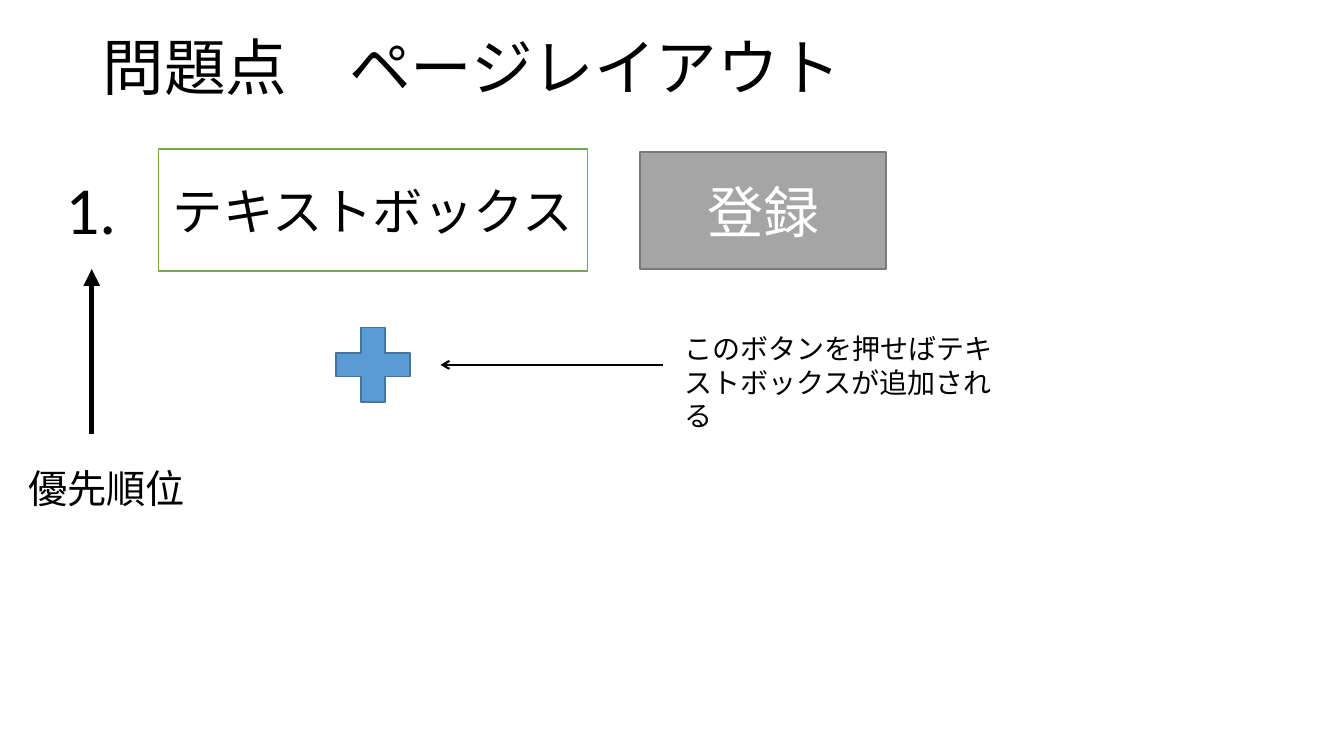
from dataclasses import dataclass

from lxml.etree import SubElement
from pptx import Presentation
from pptx.dml.color import RGBColor
from pptx.enum.shapes import MSO_CONNECTOR, MSO_SHAPE
from pptx.enum.text import MSO_ANCHOR, PP_ALIGN
from pptx.oxml.ns import qn
from pptx.util import Inches, Pt

COLUMNS, ROWS = 40, 30


@dataclass(frozen=True)
class Theme:
    """Colours, type sizes and line widths of the slide."""
    font: str = "Calibri"
    ink: str = "000000"
    paper: str = "FFFFFF"
    field_edge: str = "70AD47"
    button: str = "A5A5A5"
    button_edge: str = "7A7A7A"
    plus: str = "5B9BD5"
    plus_edge: str = "43739E"
    title: int = 44
    number: int = 48
    button_size: int = 40
    field_size: int = 36
    label: int = 28
    note: int = 20
    outline: float = 1
    thin: float = 1.5
    thick: float = 4


def apply_format(target, values):
    """Set each attribute named in values on target."""
    for name, value in values.items():
        setattr(target, name, value)


class SlideBuilder:
    """Draws themed elements on one slide, placed by grid cells."""

    def __init__(self, deck, theme):
        """Add a blank slide and work out the grid cell."""
        self.theme = theme
        self.slide = deck.slides.add_slide(deck.slide_layouts[6])
        self.column = deck.slide_width / COLUMNS
        self.row = deck.slide_height / ROWS

    def place(self, cells):
        """Turn column and row pairs into slide lengths."""
        return [round(cell * (self.row if i % 2 else self.column))
                for i, cell in enumerate(cells)]

    def fill_text(self, frame, wording, size, color, anchor, **paragraph_format):
        """Put one styled paragraph in a text frame."""
        apply_format(frame, {"word_wrap": True, "vertical_anchor": anchor})
        paragraph = frame.paragraphs[0]
        apply_format(paragraph, paragraph_format)
        run = paragraph.add_run()
        run.text = wording
        apply_format(run.font, {"name": self.theme.font, "size": Pt(size)})
        run.font.color.rgb = RGBColor.from_string(color)

    def text(self, cells, wording, size, anchor=MSO_ANCHOR.TOP, **paragraph_format):
        """Add a plain text box."""
        box = self.slide.shapes.add_textbox(*self.place(cells))
        self.fill_text(box.text_frame, wording, size, self.theme.ink, anchor,
                       **paragraph_format)

    def shape(self, kind, cells, fill, edge):
        """Add a filled and outlined preset shape."""
        shape = self.slide.shapes.add_shape(kind, *self.place(cells))
        shape.shadow.inherit = False
        shape.fill.solid()
        shape.fill.fore_color.rgb = RGBColor.from_string(fill)
        shape.line.color.rgb = RGBColor.from_string(edge)
        shape.line.width = Pt(self.theme.outline)
        return shape

    def box(self, cells, wording, size, color, fill, edge):
        """Add a rectangle with centred text."""
        shape = self.shape(MSO_SHAPE.RECTANGLE, cells, fill, edge)
        self.fill_text(shape.text_frame, wording, size, color, MSO_ANCHOR.MIDDLE,
                       alignment=PP_ALIGN.CENTER)

    def arrow(self, cells, width, head):
        """Add a line whose arrowhead is at its end point."""
        arrow = self.slide.shapes.add_connector(
            MSO_CONNECTOR.STRAIGHT, *self.place(cells))
        arrow.line.color.rgb = RGBColor.from_string(self.theme.ink)
        arrow.line.width = Pt(width)
        properties = arrow._element.spPr
        SubElement(properties.find(qn("a:ln")), qn("a:tailEnd"), type=head)
        SubElement(properties, qn("a:effectLst"))


def main():
    """Build the page layout slide and save it."""
    deck = Presentation()
    apply_format(deck, {"slide_width": Inches(13.33), "slide_height": Inches(7.5)})
    theme = Theme()
    page = SlideBuilder(deck, theme)

    page.text((2.76, 0.68, 34.5, 4.2), "問題点\u3000ページレイアウト", theme.title,
              MSO_ANCHOR.MIDDLE, line_spacing=0.9)
    page.text((1.65, 6.8, 2.13, 4.64), "1.", theme.number,
              line_spacing=0.9, space_before=Pt(10))
    page.box((4.71, 5.92, 12.78, 4.84), "テキストボックス", theme.field_size,
             theme.ink, theme.paper, theme.field_edge)
    page.box((19.05, 6.04, 7.32, 4.64), "登録", theme.button_size,
             theme.paper, theme.button, theme.button_edge)

    page.shape(MSO_SHAPE.MATH_PLUS, (9.6, 12.48, 3, 4), theme.plus, theme.plus_edge)
    page.arrow((19.74, 14.48, 13.11, 14.48), theme.thin, "arrow")
    page.text((20.07, 12.96, 10.5, 3.08),
              "このボタンを押せばテキストボックスが追加される", theme.note)

    page.arrow((2.73, 17.24, 2.73, 10.68), theme.thick, "triangle")
    page.text((0.54, 18.24, 5.79, 2.28), "優先順位", theme.label)
    deck.save("out.pptx")


main()
